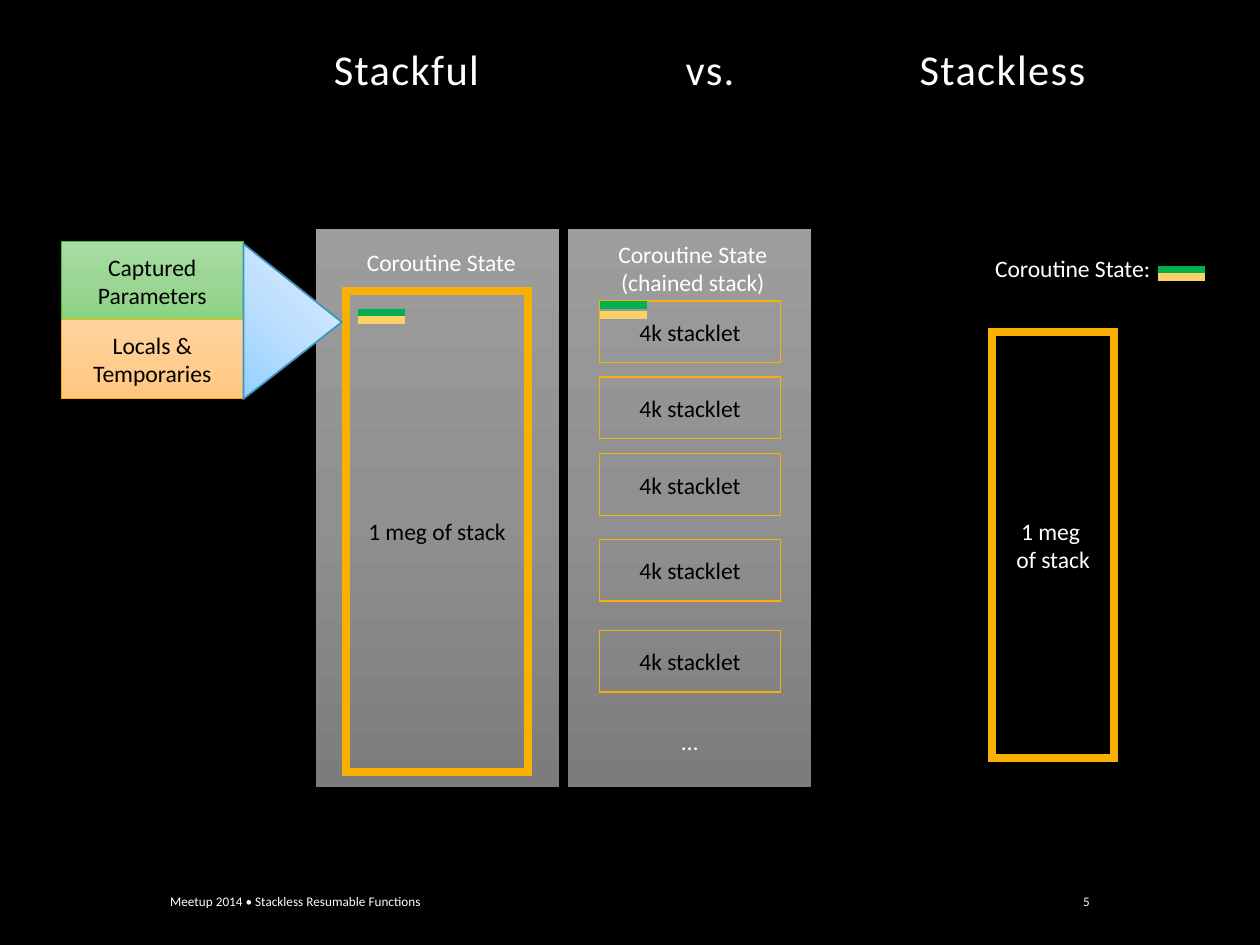
from copy import deepcopy

from lxml.etree import SubElement
from pptx import Presentation
from pptx.dml.color import RGBColor
from pptx.enum.shapes import MSO_CONNECTOR as CONNECTOR, MSO_SHAPE as SHAPE
from pptx.enum.text import MSO_ANCHOR as ANCHOR, MSO_AUTO_SIZE as AUTO_SIZE, PP_ALIGN as ALIGN
from pptx.oxml.ns import qn
from pptx.util import Cm, Pt

FONT = "Calibri"
BODY_SIZE = 13.5
COLORS = {
    "black": "000000",
    "white": "FFFFFF",
    "amber": "F8B004",
    "parameter_bar": "00B050",
    "local_bar": "FDD067",
    "green_edge": "4BB836",
    "blue_edge": "4092BD",
}
GRADIENTS = {
    "gray": ("9D9D9D", "909090", "7C7C7C"),
    "green": ("A7DDA2", "9BD695", "89D381"),
    "orange": ("FFD49E", "FFCD90", "FFC77C"),
    "blue": ("96D0FF", "BFE1FF", "E0EFFF"),
}


def color(name):
    return RGBColor.from_string(COLORS[name])


def write(frame, text, ink, size=BODY_SIZE, align=ALIGN.CENTER, anchor=ANCHOR.MIDDLE):
    frame.text = text
    frame.vertical_anchor = anchor
    for paragraph in frame.paragraphs:
        paragraph.alignment = align
        paragraph.font.name = FONT
        paragraph.font.size = Pt(size)
        paragraph.font.color.rgb = color(ink)


def fill_gradient(shape, name, angle):
    """Fill with three evenly spread stops; the angle runs counterclockwise."""
    shape.fill.gradient()
    shape.fill.gradient_angle = angle
    first = shape.fill._fill._gradFill.find(qn("a:gsLst"))[0]
    first.addnext(deepcopy(first))
    for stop, position, value in zip(shape.fill.gradient_stops, (0, 0.5, 1), GRADIENTS[name]):
        stop.position = position
        stop.color.rgb = RGBColor.from_string(value)


def add_box(page, left, top, width, height, edge, weight, text="", ink="black",
            gradient=None, angle=270, kind=SHAPE.RECTANGLE):
    box = page.shapes.add_shape(kind, Cm(left), Cm(top), Cm(width), Cm(height))
    box.shadow.inherit = False
    if gradient:
        fill_gradient(box, gradient, angle)
    else:
        box.fill.background()
    box.line.color.rgb = color(edge)
    box.line.width = Pt(weight)
    # Square outline corners
    SubElement(box.line._get_or_add_ln(), qn("a:miter"), lim="800000")
    if text:
        write(box.text_frame, text, ink)
    return box


def add_label(page, left, top, width, height, text, wrap=True, **style):
    label = page.shapes.add_textbox(Cm(left), Cm(top), Cm(width), Cm(height))
    label.text_frame.word_wrap = wrap
    write(label.text_frame, text, "white", **style)


def add_state_bars(page, left, top, gap=0.15):
    """Draw the small parameter and local bars that stand for coroutine state."""
    for row, name in enumerate(("parameter_bar", "local_bar")):
        level = Cm(top + row * gap)
        bar = page.shapes.add_connector(CONNECTOR.STRAIGHT, Cm(left), level, Cm(left + 0.95), level)
        bar.line.color.rgb = color(name)
        bar.line.width = Pt(4.5)
        SubElement(bar._element.spPr, qn("a:effectLst"))


def add_title(page):
    title = page.shapes.title
    title.left, title.top, title.width, title.height = Cm(4.75), Cm(0.84), Cm(20.47), Cm(1.19)
    frame = title.text_frame
    frame.auto_size = AUTO_SIZE.NONE
    frame.margin_left = Cm(1.98)
    write(frame, "Stackful\tvs.\tStackless", "white", 24.3, ALIGN.LEFT, ANCHOR.BOTTOM)
    paragraph = frame.paragraphs[0]
    paragraph.line_spacing = 0.9
    for span in paragraph.runs:
        span.font._element.set("spc", "80")
    # Column positions of the three title words
    properties = paragraph._p.get_or_add_pPr()
    tabs = SubElement(properties, qn("a:tabLst"))
    properties.find(qn("a:defRPr")).addprevious(tabs)
    for position in (7.09, 11.81):
        SubElement(tabs, qn("a:tab"), pos=str(Cm(position)), algn="l")


def add_panel(page, left):
    add_box(page, left, 4.6, 4.93, 11.28, "black", 0.5, gradient="gray")


def add_full_stack(page):
    add_panel(page, 6.35)
    add_label(page, 6.99, 4.88, 3.81, 0.83, "Coroutine State", anchor=ANCHOR.TOP)
    add_box(page, 6.98, 5.87, 3.66, 9.69, "amber", 4.5, "1 meg of stack")
    add_state_bars(page, 7.22, 6.3)


def add_chained_stack(page):
    add_panel(page, 11.43)
    add_label(page, 12.06, 4.71, 3.81, 1.42, "Coroutine State\n(chained stack)", anchor=ANCHOR.TOP)
    for top in (6.07, 7.6, 9.15, 10.88, 12.71):
        add_box(page, 12.08, top, 3.66, 1.24, "amber", 0.75, "4k stacklet")
    add_label(page, 13.49, 14.52, 1.5, 0.83, "…", align=ALIGN.LEFT, anchor=ANCHOR.TOP)
    add_state_bars(page, 12.09, 6.15, gap=0.2)


def add_state_contents(page):
    parts = (("Captured Parameters", "green", "green_edge"),
             ("Locals & Temporaries", "orange", "amber"))
    for row, (text, gradient, edge) in enumerate(parts):
        add_box(page, 1.24, 4.87 + row * 1.58, 3.66, 1.59, edge, 0.5, text, gradient=gradient)
    pointer = add_box(page, 4.34, 5.49, 3.12, 1.98, "blue_edge", 1, gradient="blue",
                      angle=135, kind=SHAPE.ISOSCELES_TRIANGLE)
    pointer.adjustments[0] = 0.505
    pointer.rotation = 90


def add_stackless(page):
    add_box(page, 20.0, 6.69, 2.46, 8.59, "amber", 4.5, "1 meg \vof stack", "white")
    add_label(page, 19.81, 5.0, 3.78, 0.83, "Coroutine State:", wrap=False,
              align=ALIGN.LEFT, anchor=ANCHOR.TOP)
    add_state_bars(page, 23.34, 5.44)


def add_footer(page):
    add_label(page, 3.18, 17.78, 13.67, 0.76, "Meetup 2014 • Stackless Resumable Functions",
              size=7.5, align=ALIGN.LEFT)
    add_label(page, 20.47, 17.78, 1.75, 0.76, "5", size=7.5, align=ALIGN.RIGHT)


def main():
    deck = Presentation()
    deck.slide_width, deck.slide_height = Cm(25.4), Cm(19.05)
    page = deck.slides.add_slide(deck.slide_layouts[5])
    page.background.fill.solid()
    page.background.fill.fore_color.rgb = color("black")

    add_title(page)
    # Stackful columns, with the state they hold
    add_full_stack(page)
    add_chained_stack(page)
    add_state_contents(page)
    # Stackless column
    add_stackless(page)
    add_footer(page)
    deck.save("out.pptx")


if __name__ == "__main__":
    main()
